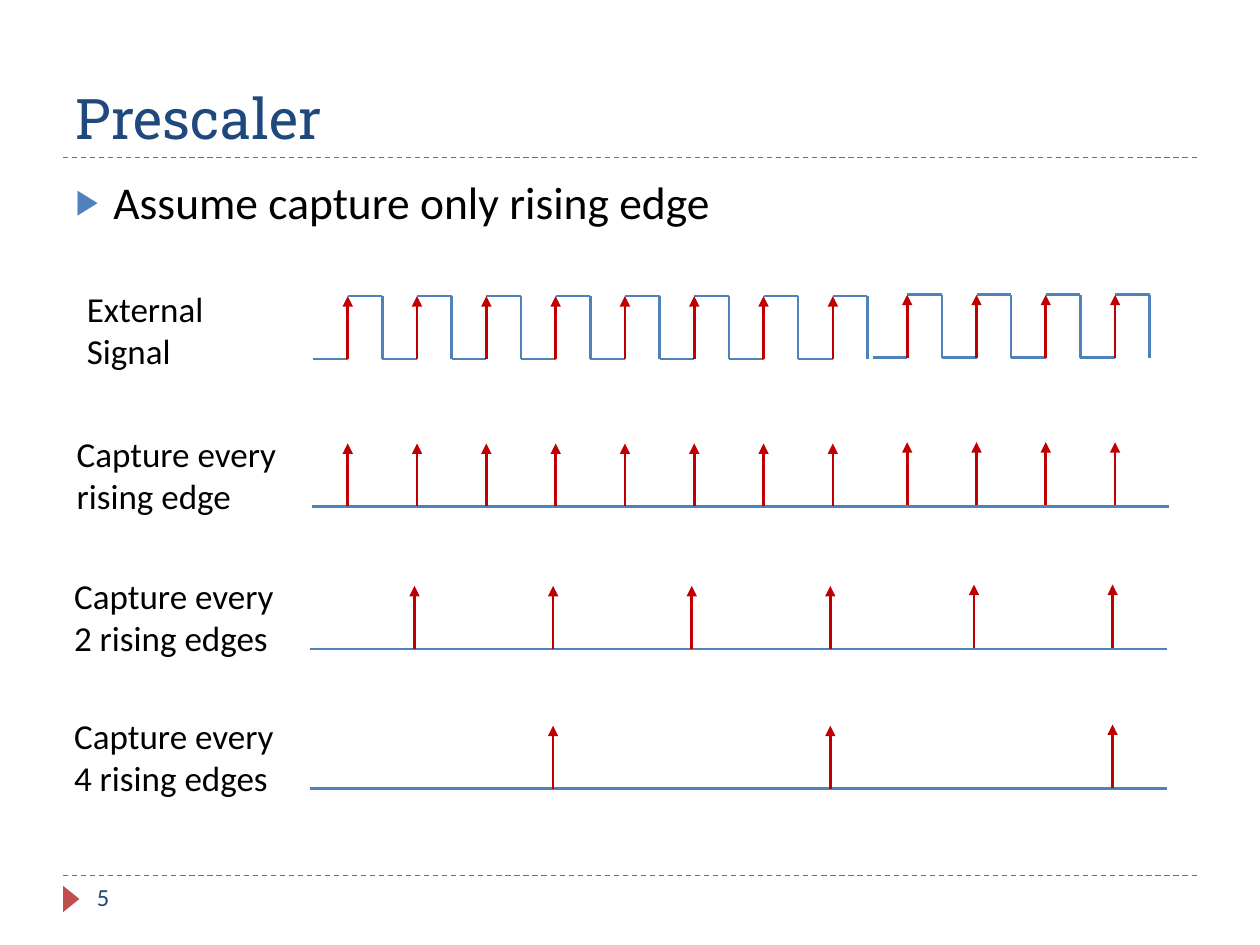
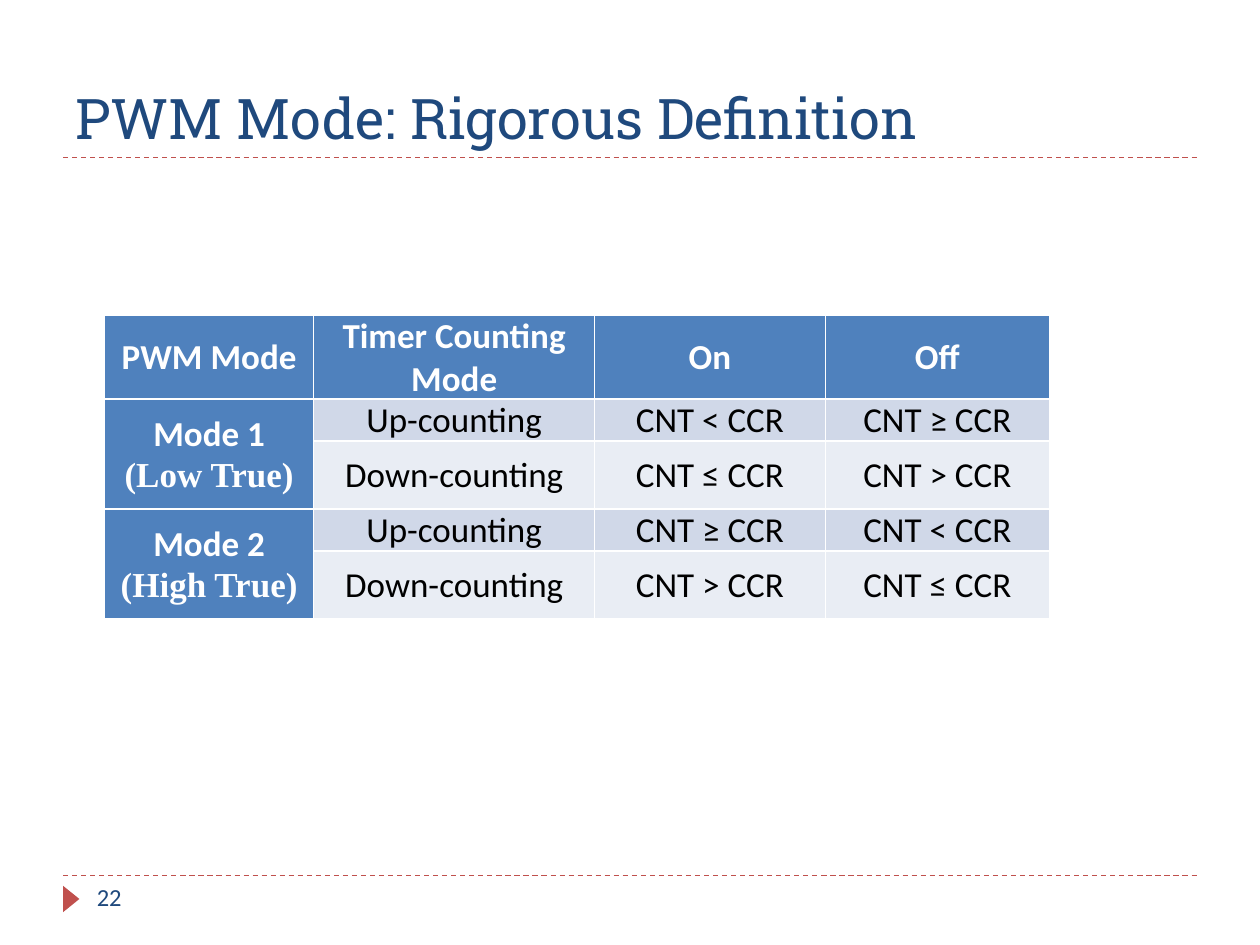
from lxml.etree import SubElement
from pptx import Presentation
from pptx.dml.color import RGBColor
from pptx.enum.dml import MSO_LINE_DASH_STYLE as Dash
from pptx.enum.shapes import MSO_CONNECTOR as Connector, MSO_SHAPE as Preset
from pptx.enum.text import MSO_ANCHOR as Anchor, MSO_AUTO_SIZE as AutoSize, PP_ALIGN as Align
from pptx.oxml.ns import qn
from pptx.util import Inches, Pt

NAVY, BLUE, RED, DARK_RED = "1F497D", "4F81BD", "C0504D", "C00000"
BLACK, WHITE = "000000", "FFFFFF"
BANDS = ["D0D8E8", "E9EDF4"]
rgb = RGBColor.from_string


def add_run(paragraph, text, size, color, font="Calibri", bold=False):
    run = paragraph.add_run()
    run.text = text
    run.font.size = Pt(size)
    run.font.name = font
    run.font.bold = bold
    run.font.color.rgb = rgb(color)


def add_line(slide, start, end, color, width=1.5, dashed=False, arrow=False):
    ends = [Inches(value) for value in (*start, *end)]
    connector = slide.shapes.add_connector(Connector.STRAIGHT, *ends)
    connector.line.color.rgb = rgb(color)
    connector.line.width = Pt(width)
    if dashed:
        connector.line.dash_style = Dash.DASH
    if arrow:
        SubElement(connector.line._get_or_add_ln(), qn("a:tailEnd"), type="triangle")
    SubElement(connector._element.spPr, qn("a:effectLst"))


prs = Presentation()
prs.slide_width, prs.slide_height = Inches(10), Inches(7.5)

# Frame shared by both slides: rules, page marker, title, page number
TITLE_AND_BODY, TITLE_ONLY = prs.slide_layouts[1], prs.slide_layouts[5]
slides = []
for layout, title_text, page in [
    (TITLE_AND_BODY, "Prescaler", "5"),
    (TITLE_ONLY, "PWM Mode: Rigorous Definition", "22"),
]:
    slide = prs.slides.add_slide(layout)
    slides.append(slide)
    for y in (6.95, 1.25):
        add_line(slide, (0.5, y), (9.5, y), RED, 0.75, dashed=True)

    marker = slide.shapes.add_shape(
        Preset.ISOSCELES_TRIANGLE, Inches(0.46), Inches(7.07), Inches(0.21), Inches(0.13))
    marker.rotation = 90
    marker.shadow.inherit = False
    marker.fill.solid()
    marker.fill.fore_color.rgb = rgb(RED)
    marker.line.fill.background()

    title = slide.shapes.title
    title.left, title.top, title.width, title.height = map(Inches, (0.5, 0.17, 9, 1.08))
    title.text_frame.vertical_anchor = Anchor.BOTTOM
    title.text_frame.auto_size = AutoSize.NONE
    heading = title.text_frame.paragraphs[0]
    heading.alignment = Align.LEFT
    add_run(heading, title_text, 32, NAVY, "Roboto Slab")

    page_number = slide.shapes.add_textbox(
        Inches(0.67), Inches(6.95), Inches(2.17), Inches(0.4)).text_frame
    page_number.word_wrap = True
    add_run(page_number.paragraphs[0], page, 14, NAVY)

prescaler, pwm_mode = slides

# Prescaler: assumption
body = prescaler.placeholders[1]
body.left, body.top, body.width, body.height = map(Inches, (0.5, 1.33, 9, 0.58))
body.text_frame.auto_size = AutoSize.NONE
assumption = body.text_frame.paragraphs[0]
bullet = assumption._p.get_or_add_pPr()
bullet.set("marL", str(Inches(0.3)))
bullet.set("indent", str(Inches(-0.3)))
SubElement(SubElement(bullet, qn("a:buClr")), qn("a:srgbClr"), val=BLUE)
SubElement(bullet, qn("a:buSzPct"), val="76000")
SubElement(bullet, qn("a:buChar"), char="▶")
assumption.space_before = Pt(0)
add_run(assumption, "Assume capture only rising edge", 26, BLACK)

# Prescaler: timing diagram, with a slightly wider gap before the ninth edge
EDGE_COUNT, PERIOD, PULSE_HEIGHT = 12, 0.55, 0.5
HALF = PERIOD / 2
LATE = 8
edges = [2.76 + PERIOD * i + (0.04 if i >= LATE else 0) for i in range(EDGE_COUNT)]

for label, label_at, label_width, baseline, shift, every in [
    ("External Signal", (0.59, 2.23), 1.32, 2.85, 0, 1),
    ("Capture every rising edge", (0.51, 3.38), 1.84, 4.02, 0, 1),
    ("Capture every 2 rising edges", (0.49, 4.51), 1.84, 5.15, -0.02, 2),
    ("Capture every 4 rising edges", (0.49, 5.62), 1.84, 6.26, -0.02, 4),
]:
    is_signal = label == "External Signal"
    if not is_signal:
        add_line(prescaler, (2.48 + shift, baseline), (9.28 + shift, baseline), BLUE)
    for i in range(every - 1, EDGE_COUNT, every):
        x = edges[i] + shift
        low = baseline - (0.01 if i >= LATE else 0)
        high = low - PULSE_HEIGHT
        if is_signal:
            add_line(prescaler, (x - HALF, low), (x, low), BLUE)
            add_line(prescaler, (x + HALF, low), (x + HALF, high), BLUE)
            add_line(prescaler, (x, high), (x + HALF, high), BLUE)
        add_line(prescaler, (x, low), (x, high), DARK_RED, arrow=True)

    caption = prescaler.shapes.add_textbox(
        *map(Inches, (*label_at, label_width, 0.77))).text_frame
    caption.word_wrap = True
    add_run(caption.paragraphs[0], label, 20, BLACK)

# PWM mode: table of on and off conditions
definitions = [
    ["PWM Mode", "Timer Counting Mode", "On", "Off"],
    ["Mode 1\n(Low True)", "Up-counting", "CNT < CCR", "CNT ≥ CCR"],
    ["", "Down-counting", "CNT ≤ CCR", "CNT > CCR"],
    ["Mode 2\n(High True)", "Up-counting", "CNT ≥ CCR", "CNT < CCR"],
    ["", "Down-counting", "CNT > CCR", "CNT ≤ CCR"],
]
table = pwm_mode.shapes.add_table(
    5, 4, Inches(0.83), Inches(2.5), Inches(7.5), Inches(2.41)).table
table.first_col = True
for column, width in zip(table.columns, (1.66, 2.23, 1.83, 1.78)):
    column.width = Inches(width)
for row, height in zip(table.rows, (0.54, 0.27, 0.54, 0.27, 0.54)):
    row.height = Inches(height)
for top in (1, 3):
    table.cell(top, 0).merge(table.cell(top + 1, 0))

for r, texts in enumerate(definitions):
    for c, text in enumerate(texts):
        cell = table.cell(r, c)
        is_header = r == 0 or c == 0
        cell.fill.solid()
        cell.fill.fore_color.rgb = rgb(BLUE if is_header else BANDS[(r - 1) % 2])
        cell.vertical_anchor = Anchor.MIDDLE
        cell.margin_left = cell.margin_right = Inches(0.08)
        cell.margin_top = cell.margin_bottom = 0
        if cell.is_spanned:
            continue
        for n, line in enumerate(text.split("\n")):
            frame = cell.text_frame
            paragraph = frame.add_paragraph() if n else frame.paragraphs[0]
            paragraph.alignment = Align.CENTER
            add_run(paragraph, line, 20, WHITE if is_header else BLACK,
                    "Times New Roman" if n else "Calibri", is_header)

prs.save("out.pptx")
